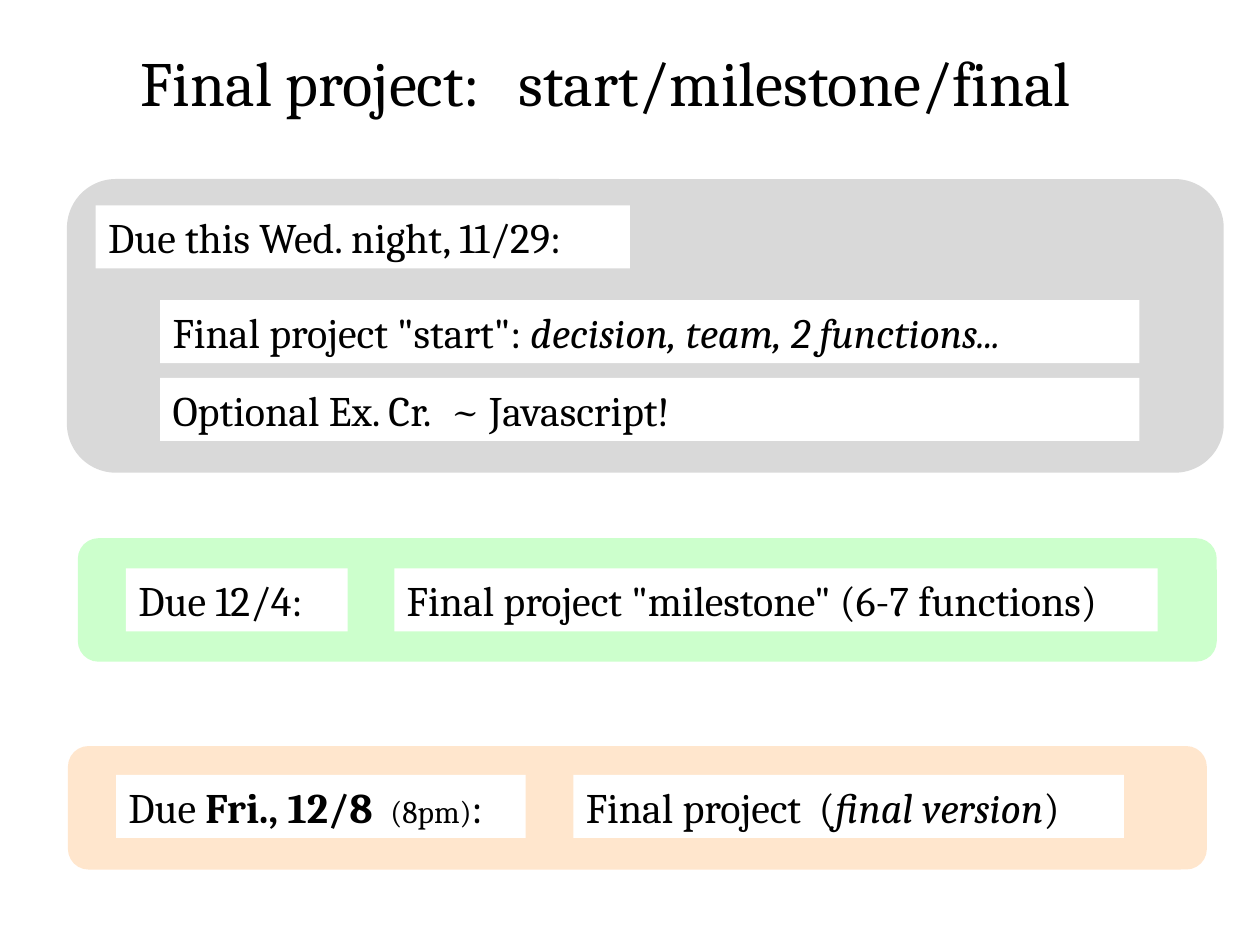
"""Build the final project deadlines slide."""
from lxml import etree
from pptx import Presentation
from pptx import util as u
from pptx.dml import color
from pptx.enum import shapes, text
from pptx.oxml import ns


def rgb(value):
    """Turn a hex string into a colour."""
    return color.RGBColor.from_string(value)


class Deck:
    """Hold the style and the current slide."""

    font, ink, paper = "Cambria", "000000", "FFFFFF"
    size, small, title_size = 24, 18, 36
    label_height = 1.27

    def __init__(self, prs):
        self.s = prs.slides.add_slide(prs.slide_layouts[6])

    def band(self, x, y, w, h, fill):
        """Draw a rounded background for one deadline."""
        sp = self.s.shapes.add_shape(
            shapes.MSO_SHAPE.ROUNDED_RECTANGLE, u.Cm(x), u.Cm(y), u.Cm(w), u.Cm(h))
        sp.shadow.inherit = False
        sp.fill.solid()
        sp.fill.fore_color.rgb = rgb(fill)
        sp.line.fill.background()

    def textbox(self, x, y, w, h, runs, size, tab=None):
        """Add a one-line text box; each run is its text and an optional style."""
        sp = self.s.shapes.add_textbox(u.Cm(x), u.Cm(y), u.Cm(w), u.Cm(h))
        tf = sp.text_frame
        tf.word_wrap = True
        tf.vertical_anchor = text.MSO_ANCHOR.TOP
        p = tf.paragraphs[0]
        if tab:
            tabs = etree.SubElement(p._p.get_or_add_pPr(), ns.qn("a:tabLst"))
            etree.SubElement(tabs, ns.qn("a:tab"), pos=str(u.Cm(tab)), algn="l")
        for words, style in runs:
            r = p.add_run()
            r.text = words
            r.font.name = self.font
            r.font.size = u.Pt(self.small if style == "small" else size)
            r.font.bold = style == "bold"
            r.font.italic = style == "italic"
            r.font.color.rgb = rgb(self.ink)
        return sp

    def title(self, x, y, w, h, words, tab):
        """Add the slide title."""
        self.textbox(x, y, w, h, [(words, "")], self.title_size, tab)

    def label(self, x, y, w, *runs, tab=None):
        """Add a white label on a band."""
        sp = self.textbox(x, y, w, self.label_height, runs, self.size, tab)
        sp.fill.solid()
        sp.fill.fore_color.rgb = rgb(self.paper)


def main():
    """Build and save the slide."""
    prs = Presentation()
    prs.slide_width, prs.slide_height = u.Cm(25.4), u.Cm(19.05)
    deck = Deck(prs)
    deck.title(2.59, 0.76, 20.12, 1.8, "Final project:\tstart/milestone/final", 7.62)

    deck.band(1.35, 3.61, 23.32, 5.92, "D9D9D9")
    deck.label(1.93, 4.14, 10.77, ("Due this Wed. night, 11/29:", ""))
    deck.label(3.23, 6.05, 19.74, ('Final project "start": ', ""),
               ("decision, team, 2 functions...", "italic"))
    deck.label(3.23, 7.62, 19.74, ("Optional Ex. Cr.\t~ Javascript!", ""), tab=5.6)

    deck.band(1.57, 10.85, 22.96, 2.49, "CCFFCC")
    deck.label(2.54, 11.46, 4.47, ("Due 12/4:", ""))
    deck.label(7.95, 11.46, 15.39, ('Final project "milestone" (6-7 functions)', ""))

    deck.band(1.37, 15.04, 22.96, 2.49, "FFE6CD")
    deck.label(2.34, 15.62, 8.26, ("Due ", ""), ("Fri., 12/8\t", "bold"),
               ("(8pm)", "small"), (":", ""), tab=5.28)
    deck.label(11.56, 15.62, 11.1, ("Final project\t(", ""),
               ("final version", "italic"), (")", ""), tab=4.7)
    prs.save("out.pptx")


if __name__ == "__main__":
    main()
